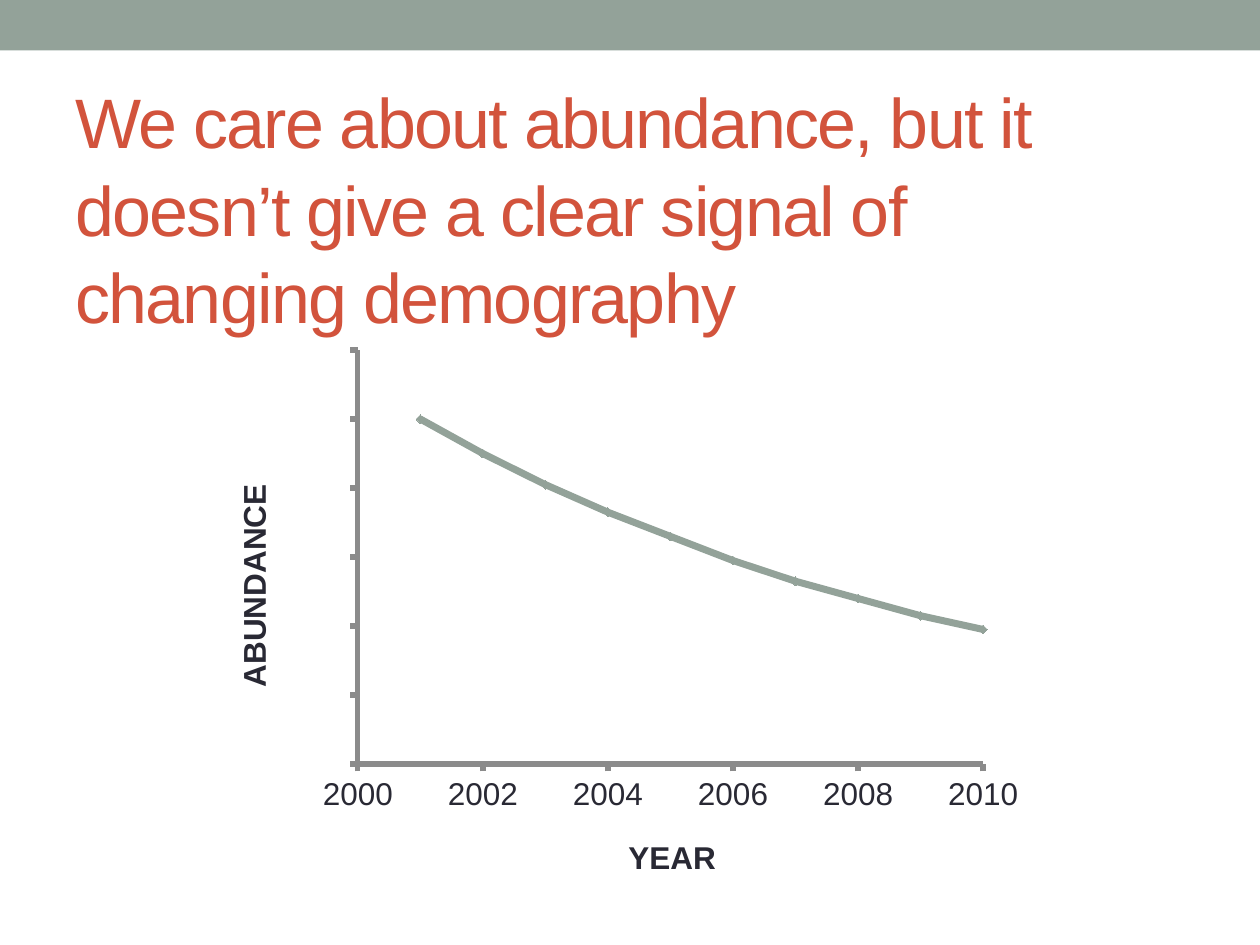
from typing import NamedTuple

from pptx import Presentation
from pptx.chart.data import XyChartData
from pptx.dml.color import RGBColor
from pptx.enum.chart import XL_CHART_TYPE, XL_MARKER_STYLE, XL_TICK_LABEL_POSITION, XL_TICK_MARK
from pptx.enum.shapes import MSO_SHAPE
from pptx.enum.text import MSO_ANCHOR
from pptx.oxml import parse_xml
from pptx.oxml.ns import nsdecls, qn
from pptx.util import Inches, Pt

SAGE = RGBColor(0x93, 0xA2, 0x99)
RUST = RGBColor(0xD2, 0x53, 0x3C)
INK = RGBColor(0x29, 0x29, 0x34)
AXIS_GREY = RGBColor(0x8B, 0x8B, 0x8B)
FONT = "Arial"
SCATTER_LINES = XL_CHART_TYPE.XY_SCATTER_LINES
DIAMOND = XL_MARKER_STYLE.DIAMOND
NO_LABELS = XL_TICK_LABEL_POSITION.NONE
LOW_LABELS = XL_TICK_LABEL_POSITION.LOW
TICK_OUT = XL_TICK_MARK.OUTSIDE
TICK_NONE = XL_TICK_MARK.NONE
RECTANGLE = MSO_SHAPE.RECTANGLE
MIDDLE = MSO_ANCHOR.MIDDLE


class AxisStyle(NamedTuple):
    title: str
    minimum: float
    maximum: float
    step: float
    labels: XL_TICK_LABEL_POSITION
    title_x: float
    title_y: float


YEAR_AXIS = AxisStyle("YEAR", 2000, 2010, 2, LOW_LABELS, 0.51, 0.88)
ABUNDANCE_AXIS = AxisStyle("ABUNDANCE", 0, 120, 20, NO_LABELS, 0.04, 0.25)
ABUNDANCES = (100, 90, 81, 73, 66, 59, 53, 48, 43, 39)


def set_layout(parent, index: int, inner: bool = False, **fractions: float) -> None:
    """Place a chart part by fractions of the chart's size."""
    for old in parent.findall(qn("c:layout")):
        parent.remove(old)
    target = '<c:layoutTarget val="inner"/>' if inner else ""
    modes = "".join(f'<c:{key}Mode val="edge"/>' for key in ("x", "y"))
    sizes = "".join(f'<c:{key} val="{value}"/>' for key, value in fractions.items())
    parent.insert(index, parse_xml(
        f'<c:layout {nsdecls("c")}><c:manualLayout>{target}{modes}{sizes}'
        "</c:manualLayout></c:layout>"))


def style_font(font, size: float, color: RGBColor, bold: bool = False) -> None:
    values = {"name": FONT, "size": Pt(size), "bold": bold}
    for name, value in values.items():
        setattr(font, name, value)
    font.color.rgb = color


def style_axis(axis, style: AxisStyle) -> None:
    values = {
        "minimum_scale": style.minimum,
        "maximum_scale": style.maximum,
        "major_unit": style.step,
        "has_major_gridlines": False,
        "major_tick_mark": TICK_OUT,
        "minor_tick_mark": TICK_NONE,
        "tick_label_position": style.labels,
    }
    for name, value in values.items():
        setattr(axis, name, value)
    axis.format.line.color.rgb = AXIS_GREY
    axis.format.line.width = Pt(3)
    style_font(axis.tick_labels.font, 18, INK)

    title_text = axis.axis_title.text_frame
    title_text.text = style.title
    style_font(title_text.paragraphs[0].runs[0].font, 18, INK, bold=True)
    title = title_text._txBody.getparent().getparent()
    set_layout(title, 1, x=style.title_x, y=style.title_y)


def add_band(slide) -> None:
    band = slide.shapes.add_shape(RECTANGLE, 0, 0, Inches(10), Inches(0.4))
    band.shadow.inherit = False
    band.fill.solid()
    band.fill.fore_color.rgb = SAGE
    band.line.fill.background()


def add_heading(slide, text: str) -> None:
    heading = slide.shapes.add_textbox(Inches(0.5), Inches(0.82), Inches(9), Inches(1.64))
    frame = heading.text_frame
    frame.word_wrap = True
    frame.vertical_anchor = MIDDLE
    paragraph = frame.paragraphs[0]
    paragraph.line_spacing = 1.04
    run = paragraph.add_run()
    run.text = text
    style_font(run.font, 40, RUST)
    run.font._element.set("spc", "-100")


def add_abundance_chart(slide) -> None:
    data = XyChartData()
    points = data.add_series("Series 1")
    for year, abundance in enumerate(ABUNDANCES, start=2001):
        points.add_data_point(year, abundance)
    chart = slide.shapes.add_chart(SCATTER_LINES, Inches(1.54), Inches(2.69),
                                   Inches(6.67), Inches(4.44), data).chart
    chart.has_legend = False
    chart.has_title = False
    style_font(chart.font, 18, INK)
    style_axis(chart.category_axis, YEAR_AXIS)
    style_axis(chart.value_axis, ABUNDANCE_AXIS)

    # Abundance curve
    plot = chart.plots[0]
    plot.vary_by_categories = False
    curve = plot.series[0]
    curve.smooth = False
    curve.format.line.color.rgb = SAGE
    curve.format.line.width = Pt(4)
    curve.marker.style = DIAMOND
    curve.marker.size = 5
    curve.marker.format.fill.solid()
    curve.marker.format.fill.fore_color.rgb = SAGE
    curve.marker.format.line.color.rgb = SAGE

    plot_area = chart._chartSpace.find(f".//{qn('c:plotArea')}")
    set_layout(plot_area, 0, inner=True, x=0.195, y=0.02, w=0.744, h=0.74)


def main() -> None:
    deck = Presentation()
    deck.slide_width, deck.slide_height = Inches(10), Inches(7.5)
    slide = deck.slides.add_slide(deck.slide_layouts[6])
    add_band(slide)
    add_heading(slide, "We care about abundance, but it doesn’t give a clear signal "
                       "of changing demography")
    add_abundance_chart(slide)
    deck.save("out.pptx")


if __name__ == "__main__":
    main()
